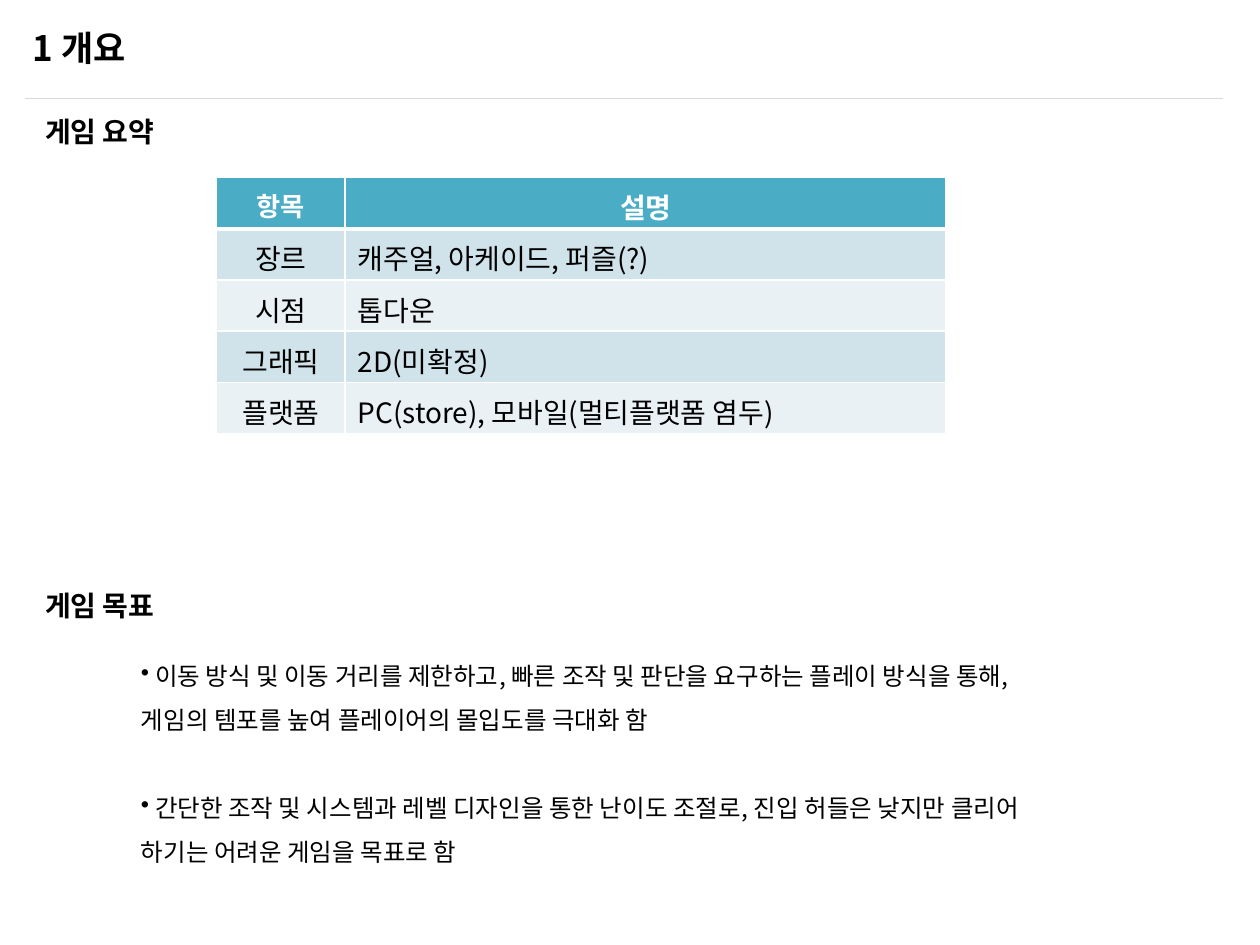
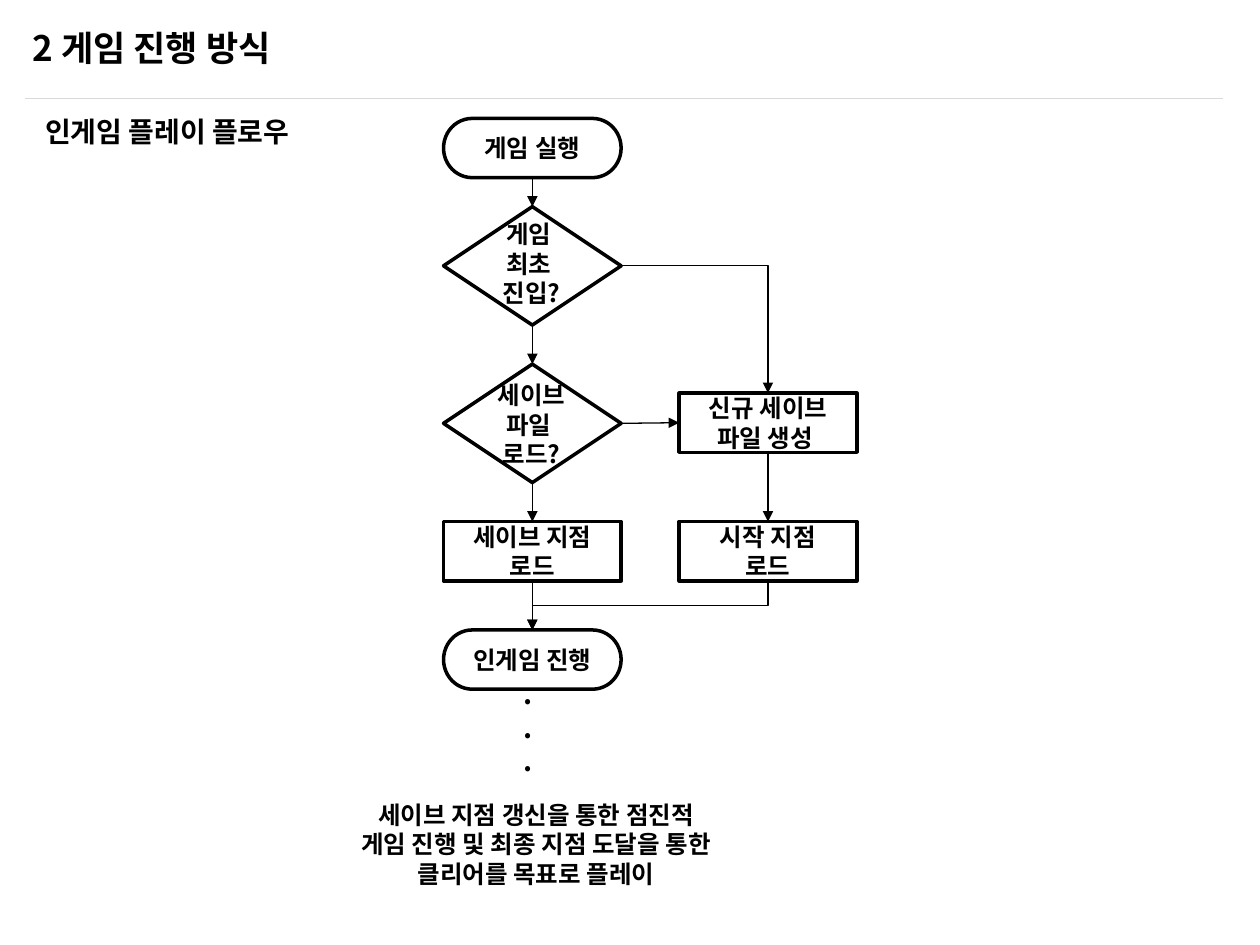
from dataclasses import dataclass

from lxml import etree
from pptx import Presentation
from pptx.dml.color import RGBColor
from pptx.enum.shapes import MSO_CONNECTOR, MSO_SHAPE
from pptx.enum.text import MSO_ANCHOR, PP_ALIGN
from pptx.oxml.ns import qn
from pptx.util import Inches, Pt

LEFT, CENTER = PP_ALIGN.LEFT, PP_ALIGN.CENTER
TOP, MIDDLE = MSO_ANCHOR.TOP, MSO_ANCHOR.MIDDLE
STRAIGHT, ELBOW = MSO_CONNECTOR.STRAIGHT, MSO_CONNECTOR.ELBOW
TERMINATOR = MSO_SHAPE.FLOWCHART_TERMINATOR
PROCESS = MSO_SHAPE.FLOWCHART_PROCESS
DECISION = MSO_SHAPE.FLOWCHART_DECISION
SITE_TOP, SITE_LEFT, SITE_BOTTOM, SITE_RIGHT = range(4)


@dataclass(frozen=True)
class Theme:
    font: str = "Noto Sans CJK KR"
    ink: str = "000000"
    paper: str = "FFFFFF"
    rule: str = "D9D9D9"
    header: str = "4BACC6"
    bands: tuple = ("D0E3EA", "E9F1F5")
    title: float = 20
    heading: float = 16
    body: float = 14
    header_item: float = 15
    thin: float = 0.75
    outline: float = 2


THEME = Theme()


def color(value):
    return RGBColor.from_string(value)


def assign(target, values):
    for name, value in values.items():
        setattr(target, name, value)


def write(frame, lines, size, ink=THEME.ink, bold=True, align=LEFT, **paragraph_format):
    frame.word_wrap = True
    for index, line in enumerate(lines):
        paragraph = frame.paragraphs[0] if index == 0 else frame.add_paragraph()
        assign(paragraph, {"alignment": align, **paragraph_format})
        run = paragraph.add_run()
        run.text = line
        assign(run.font, {"size": Pt(size), "bold": bold, "name": THEME.font})
        run.font.color.rgb = color(ink)
        east_asian = etree.SubElement(run.font._element, qn("a:ea"))
        east_asian.set("typeface", THEME.font)


def add_label(slide, box, lines, size, **text_format):
    frame = slide.shapes.add_textbox(*map(Inches, box)).text_frame
    write(frame, lines, size, **text_format)
    return frame


def add_line(slide, kind, start, end, ink, width=THEME.thin):
    line = slide.shapes.add_connector(kind, *map(Inches, (*start, *end)))
    line.line.color.rgb = color(ink)
    line.line.width = Pt(width)
    etree.SubElement(line._element.spPr, qn("a:effectLst"))
    return line


def add_page(deck, title):
    slide = deck.slides.add_slide(deck.slide_layouts[6])
    add_line(slide, STRAIGHT, (0.2, 0.78), (9.71, 0.78), THEME.rule)
    add_label(slide, (0.16, 0.16, 2.89, 0.44), [title], THEME.title)
    return slide


def add_heading(slide, top, heading):
    frame = add_label(slide, (0.16, top, 3.36, 0.37), [heading], THEME.heading)
    frame.margin_left = Inches(0.2)


def set_borders(cell, bottom):
    properties = cell._tc.get_or_add_tcPr()
    widths = {"a:lnL": 1, "a:lnR": 1, "a:lnT": 1, "a:lnB": bottom}
    for index, (side, width) in enumerate(widths.items()):
        border = etree.Element(qn(side), w=str(Pt(width)))
        fill = etree.SubElement(border, qn("a:solidFill"))
        etree.SubElement(fill, qn("a:srgbClr"), val=THEME.paper)
        properties.insert(index, border)


def add_summary(slide, box, rows, widths):
    table = slide.shapes.add_table(len(rows), len(widths), *map(Inches, box)).table
    for column, width in zip(table.columns, widths):
        column.width = Inches(width)
    margins = {"margin_top": Inches(0.07), "margin_bottom": Inches(0.07)}
    for r, row in enumerate(rows):
        is_header = r == 0
        for c, entry in enumerate(row):
            cell = table.cell(r, c)
            assign(cell, margins)
            cell.fill.solid()
            cell.fill.fore_color.rgb = color(
                THEME.header if is_header else THEME.bands[(r - 1) % 2])
            set_borders(cell, 3 if is_header else 1)
            write(cell.text_frame, [entry],
                  THEME.header_item if is_header and c == 0 else THEME.heading,
                  ink=THEME.paper if is_header else THEME.ink, bold=is_header,
                  align=CENTER if is_header or c == 0 else LEFT)


def add_goals(slide, box, goals):
    frame = add_label(slide, box, goals, THEME.body, bold=False, line_spacing=1.5)
    for paragraph in frame.paragraphs:
        properties = paragraph._p.get_or_add_pPr()
        etree.SubElement(properties, qn("a:buChar"), char="•")
    for paragraph in frame.paragraphs[1:]:
        paragraph.space_before = Pt(25)


def add_step(slide, kind, box, lines):
    step = slide.shapes.add_shape(kind, *map(Inches, box))
    step.shadow.inherit = False
    step.fill.background()
    step.line.color.rgb = color(THEME.ink)
    step.line.width = Pt(THEME.outline)
    frame = step.text_frame
    frame.vertical_anchor = MIDDLE
    write(frame, lines, THEME.body, align=CENTER)
    return step


def add_arrow(slide, source, source_site, target, target_site):
    is_straight = (source.left == target.left and source_site == SITE_BOTTOM
                   or target_site == SITE_LEFT)
    arrow = add_line(slide, STRAIGHT if is_straight else ELBOW, (0, 0), (1, 1), THEME.ink)
    arrow.begin_connect(source, source_site)
    arrow.end_connect(target, target_site)
    outline = arrow.line._get_or_add_ln()
    etree.SubElement(outline, qn("a:tailEnd"), type="triangle")
    if is_straight:
        return
    if source_site == SITE_RIGHT:
        arrow._element.spPr.find(qn("a:prstGeom")).set("prst", "bentConnector2")
    else:
        turn_down(arrow)


def turn_down(arrow):
    left, top, width, height = arrow.left, arrow.top, arrow.width, arrow.height
    assign(arrow, {"left": left + (width - height) // 2,
                   "top": top + (height - width) // 2,
                   "width": height, "height": width})
    transform = arrow._element.spPr.find(qn("a:xfrm"))
    transform.attrib.pop("flipH", None)
    transform.set("rot", str(90 * 60000))


def add_flow(slide, box):
    left, top, width, height = box
    step_width, step_height, decision_height = 1.41, 0.47, 0.94
    branch = width - step_width
    steps = {
        "launch": (TERMINATOR, 0, 0, ["게임 실행"]),
        "first_entry": (DECISION, 0, 0.7, []),
        "load_save": (DECISION, 0, 1.95, []),
        "new_save": (PROCESS, branch, 2.18, ["신규 세이브 파일 생성 "]),
        "save_point": (PROCESS, 0, 3.2, ["세이브 지점", "로드"]),
        "start_point": (PROCESS, branch, 3.2, ["시작 지점", "로드"]),
        "play": (TERMINATOR, 0, height - step_height, ["인게임 진행"]),
    }
    placed = {
        key: add_step(slide, kind, (left + x, top + y, step_width,
                      decision_height if kind == DECISION else step_height), lines)
        for key, (kind, x, y, lines) in steps.items()
    }
    questions = [(0.75, ["게임 ", "최초 ", "진입?"]), (2.03, ["세이브 파일 ", "로드?"])]
    for y, lines in questions:
        add_label(slide, (left + 0.23, top + y, 0.94, 0.81), lines, THEME.body, align=CENTER)
    for source, source_site, target, target_site in (
        ("launch", SITE_BOTTOM, "first_entry", SITE_TOP),
        ("first_entry", SITE_BOTTOM, "load_save", SITE_TOP),
        ("first_entry", SITE_RIGHT, "new_save", SITE_TOP),
        ("load_save", SITE_BOTTOM, "save_point", SITE_TOP),
        ("load_save", SITE_RIGHT, "new_save", SITE_LEFT),
        ("new_save", SITE_BOTTOM, "start_point", SITE_TOP),
        ("save_point", SITE_BOTTOM, "play", SITE_TOP),
        ("start_point", SITE_BOTTOM, "play", SITE_TOP),
    ):
        add_arrow(slide, placed[source], source_site, placed[target], target_site)


def build_overview(deck):
    slide = add_page(deck, "1 개요")
    add_heading(slide, 0.86, "게임 요약")
    add_summary(slide, (1.72, 1.41, 5.78, 2), [
        ("항목", "설명"),
        ("장르", "캐주얼, 아케이드, 퍼즐(?)"),
        ("시점", "톱다운"),
        ("그래픽", "2D(미확정)"),
        ("플랫폼", "PC(store), 모바일(멀티플랫폼 염두)"),
    ], (1.02, 4.77))
    add_heading(slide, 4.62, "게임 목표")
    add_goals(slide, (1.02, 5.08, 7.5, 1.87), [
        " 이동 방식 및 이동 거리를 제한하고, 빠른 조작 및 판단을 요구하는 플레이 방식을 통해, "
        "게임의 템포를 높여 플레이어의 몰입도를 극대화 함",
        " 간단한 조작 및 시스템과 레벨 디자인을 통한 난이도 조절로, 진입 허들은 낮지만 클리어 "
        "하기는 어려운 게임을 목표로 함",
    ])


def build_play_flow(deck):
    slide = add_page(deck, "2 게임 진행 방식")
    add_heading(slide, 0.86, "인게임 플레이 플로우")
    add_flow(slide, (3.52, 0.94, 3.28, 4.53))
    add_label(slide, (4.06, 5.32, 0.63, 0.94), ["."] * 3, THEME.heading)
    add_label(slide, (2.73, 6.3, 3.05, 0.81),
              ["세이브 지점 갱신을 통한 점진적 게임 진행 및 최종 지점 도달을 통한 클리어를 목표로 플레이"],
              THEME.body, align=CENTER)


def main():
    deck = Presentation()
    assign(deck, {"slide_width": Inches(10), "slide_height": Inches(7.5)})
    build_overview(deck)
    build_play_flow(deck)
    deck.save("out.pptx")


if __name__ == "__main__":
    main()
